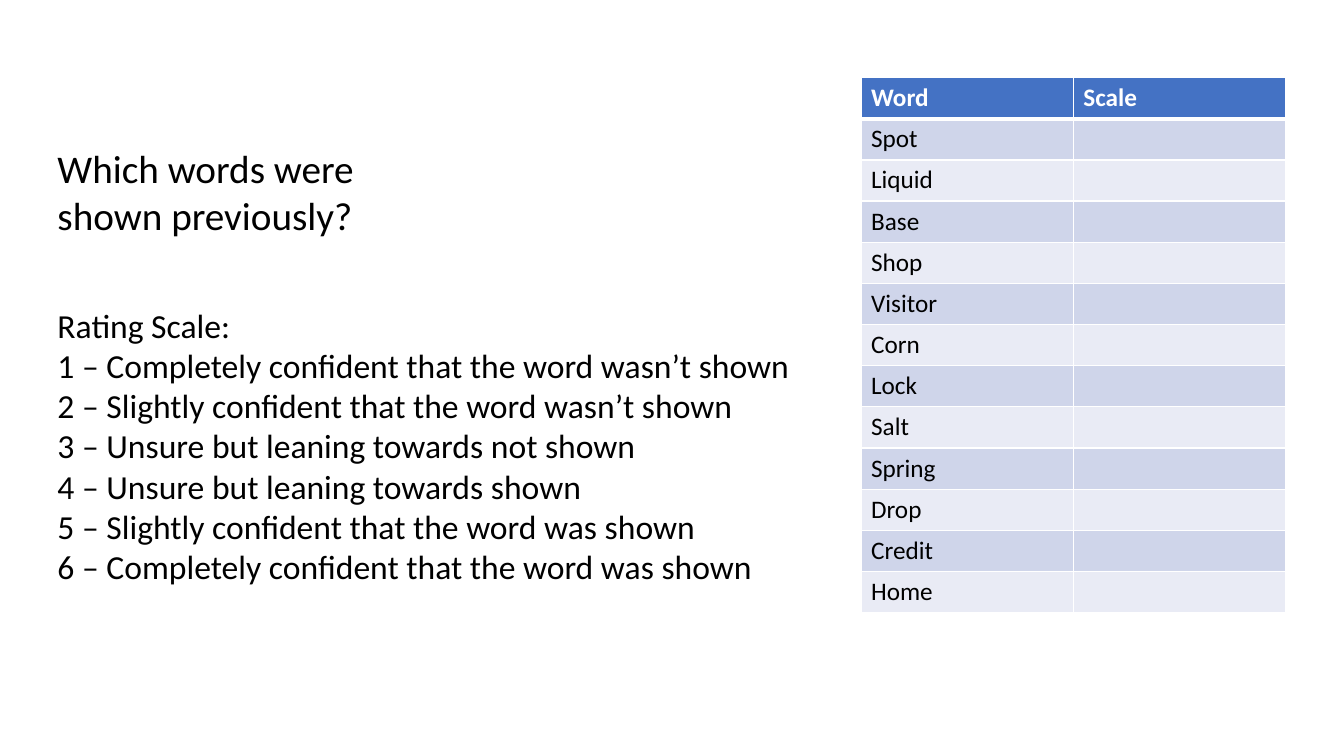
from lxml.etree import SubElement
from pptx import Presentation
from pptx.dml.color import RGBColor
from pptx.enum.text import MSO_ANCHOR, MSO_AUTO_SIZE, PP_ALIGN
from pptx.oxml.ns import qn
from pptx.util import Inches, Pt

ASK = ["Which words were", "shown previously?"]
SCALE = [
    "Rating Scale:",
    "1 – Completely confident that the word wasn’t shown",
    "2 – Slightly confident that the word wasn’t shown",
    "3 – Unsure but leaning towards not shown",
    "4 – Unsure but leaning towards shown",
    "5 – Slightly confident that the word was shown",
    "6 – Completely confident that the word was shown",
]
HEAD = ["Word", "Scale"]
WORDS = ["Spot", "Liquid", "Base", "Shop", "Visitor", "Corn",
         "Lock", "Salt", "Spring", "Drop", "Credit", "Home"]
BANDS = ["E9EBF5", "CFD5EA"]
BLUE, WHITE, BLACK = "4472C4", "FFFFFF", "000000"
WIDE, HIGH = 2.105, 0.4085


def color(code):
    return RGBColor.from_string(code)


def apply(item, form):
    for name, value in form.items():
        setattr(item, name, value)


def style(part, size, code, bold=False):
    apply(part.font, {"name": "Calibri", "size": Pt(size), "bold": bold})
    part.font.color.rgb = color(code)


def write(shape, lines, size, box):
    left, top, width, height = map(Inches, box)
    apply(shape, {"left": left, "top": top, "width": width, "height": height})
    frame = shape.text_frame
    frame.text = "\n".join(lines)
    apply(frame, {"word_wrap": True, "auto_size": MSO_AUTO_SIZE.NONE,
                  "vertical_anchor": MSO_ANCHOR.TOP})
    for part in frame.paragraphs:
        apply(part, {"alignment": PP_ALIGN.LEFT, "line_spacing": 1.0,
                     "space_before": Pt(0), "space_after": Pt(0)})
        props = part._p.get_or_add_pPr()
        props.set("marL", "0")
        props.set("indent", "0")
        SubElement(props, qn("a:buNone"))
        for run in part.runs:
            style(run, size, BLACK)


def edge(cell, side, width):
    line = SubElement(cell._tc.get_or_add_tcPr(), qn("a:ln" + side), w=str(Pt(width)))
    fill = SubElement(line, qn("a:solidFill"))
    SubElement(fill, qn("a:srgbClr"), val=WHITE)


def paint(cell, row, text):
    sides = {"L": 1, "R": 1, "T": 3 if row == 1 else 1, "B": 1 if row else 3}
    for side, width in sides.items():
        edge(cell, side, width)
    cell.fill.solid()
    cell.fill.fore_color.rgb = color(BANDS[row % 2] if row else BLUE)
    cell.text = text
    style(cell.text_frame.paragraphs[0], 18, BLACK if row else WHITE, not row)


def main():
    deck = Presentation()
    apply(deck, {"slide_width": Inches(13.33), "slide_height": Inches(7.5)})
    slide = deck.slides.add_slide(deck.slide_layouts[1])
    title, body = slide.placeholders
    write(title, ASK, 28, (0.47, 1.38, 4.32, 1.04))
    write(body, SCALE, 24, (0.47, 2.97, 7.6, 2.93))

    rows = [HEAD] + [[word, ""] for word in WORDS]
    grid = slide.shapes.add_table(
        len(rows), len(HEAD), Inches(8.54), Inches(0.77),
        Inches(WIDE * len(HEAD)), Inches(HIGH * len(rows))).table
    for row, texts in enumerate(rows):
        grid.rows[row].height = Inches(HIGH)
        for col, text in enumerate(texts):
            paint(grid.cell(row, col), row, text)
    deck.save("out.pptx")


if __name__ == "__main__":
    main()
